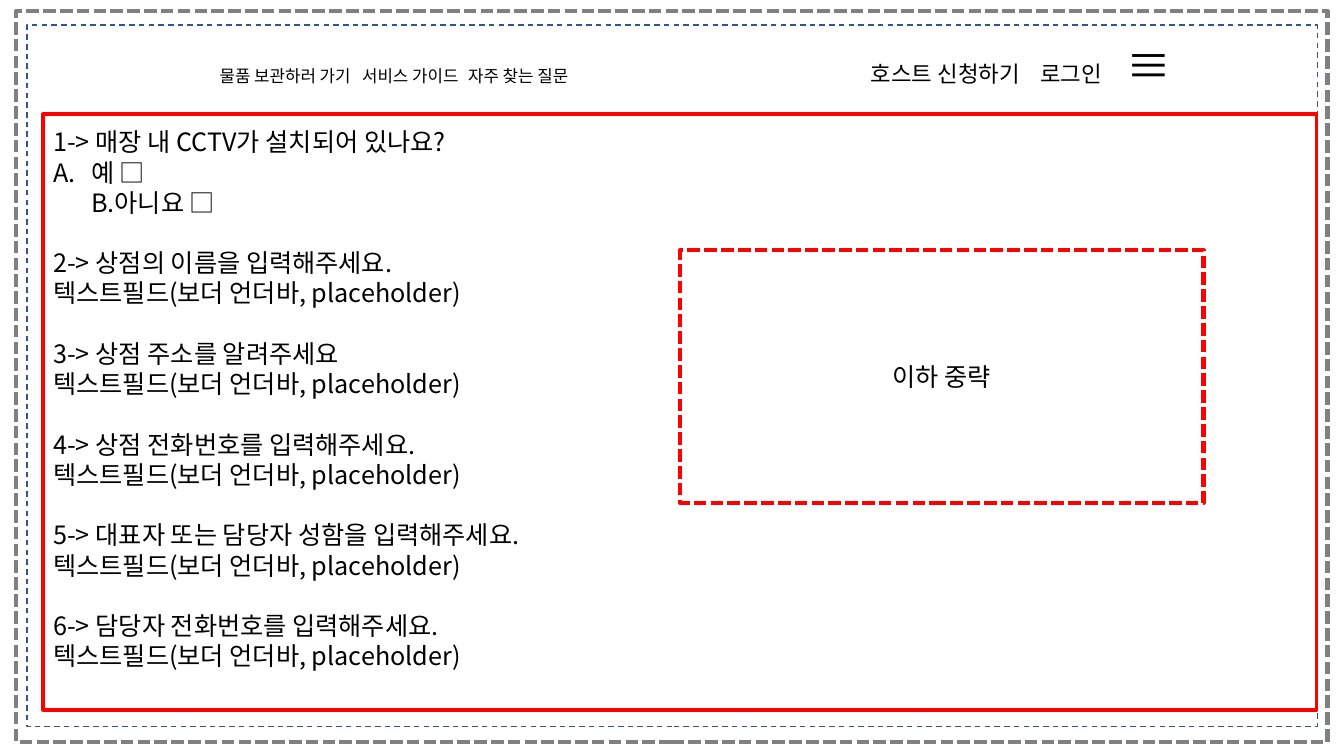
from pptx import Presentation
from pptx.dml.color import RGBColor
from pptx.enum.dml import MSO_LINE_DASH_STYLE as Dash
from pptx.enum.shapes import MSO_SHAPE as Preset
from pptx.enum.text import MSO_ANCHOR as Anchor, PP_ALIGN as Align
from pptx.oxml.ns import qn
from pptx.util import Pt
from lxml.etree import SubElement

FONT = "Noto Sans CJK KR"
BLACK, WHITE, RED, GRAY, BLUE = "000000", "FFFFFF", "FF0000", "808080", "325491"
LINE = 21.6  # line pitch of the 18 pt form text
FIELD = "텍스트필드(보더 언더바, placeholder)"
QUESTIONS = [
    "2-> 상점의 이름을 입력해주세요.",
    "3-> 상점 주소를 알려주세요",
    "4-> 상점 전화번호를 입력해주세요.",
    "5-> 대표자 또는 담당자 성함을 입력해주세요.",
    "6-> 담당자 전화번호를 입력해주세요.",
]
# Menu label, size, tab position
MENU = [
    ("물품 보관하러 가기", 12, 0),
    ("서비스 가이드", 12, 101.8),
    ("자주 찾는 질문", 12, 177.5),
    ("호스트 신청하기", 16, 465.2),
    ("로그인", 16, 586),
    ("≡", 32, 648),
]


def color(value):
    """Turn a hex string into a colour."""
    return RGBColor.from_string(value)


def write(paragraph, text, size=18, ink=BLACK, align=Align.LEFT, pitch=LINE, before=0):
    """Append text to a paragraph and format it; a vertical tab breaks the line."""
    paragraph.alignment = align
    paragraph.line_spacing = Pt(pitch)
    paragraph.space_before = Pt(before)
    for index, part in enumerate(text.split("\v")):
        if index:
            paragraph.add_line_break()
        run = paragraph.add_run()
        run.text = part
        run.font.name, run.font.size = FONT, Pt(size)
        run.font.color.rgb = color(ink)
        SubElement(run.font._element, qn("a:ea"), typeface=FONT)


def letter(paragraph, indent=27):
    """Number a paragraph with hanging capital letters."""
    props = paragraph._p.get_or_add_pPr()
    props.set("marL", str(Pt(indent)))
    props.set("indent", str(-Pt(indent)))
    SubElement(props, qn("a:buFont"), typeface=FONT)
    SubElement(props, qn("a:buAutoNum"), type="alphaUcPeriod")


def set_tabs(paragraph, positions):
    """Give a paragraph left tab stops."""
    stops = SubElement(paragraph._p.get_or_add_pPr(), qn("a:tabLst"))
    for position in positions:
        SubElement(stops, qn("a:tab"), pos=str(Pt(position)), algn="l")


class Wireframe:
    """Holds the slide and draws frames and text areas on it."""

    def __init__(self, slide):
        """Keep the slide to draw on."""
        self.shapes = slide.shapes

    def frame(self, left, top, width, height, ink, weight, dash=None, fill=None):
        """Draw an outlined rectangle and return its text frame."""
        box = self.shapes.add_shape(
            Preset.RECTANGLE, Pt(left), Pt(top), Pt(width), Pt(height))
        box.shadow.inherit = False
        box.line.color.rgb, box.line.width = color(ink), Pt(weight)
        if dash:
            box.line.dash_style = dash
        if fill:
            box.fill.solid()
            box.fill.fore_color.rgb = color(fill)
        else:
            box.fill.background()
        box.text_frame.word_wrap = True
        return box.text_frame

    def label(self, left, top, width, height, inset):
        """Add a text box with a top inset and return its text frame."""
        area = self.shapes.add_textbox(
            Pt(left), Pt(top), Pt(width), Pt(height)).text_frame
        area.word_wrap = True
        area.margin_top = Pt(inset)
        return area


deck = Presentation()
deck.slide_width, deck.slide_height = Pt(960), Pt(540)
page = Wireframe(deck.slides.add_slide(deck.slide_layouts[6]))

page.frame(11.5, 7.9, 936.7, 522, GRAY, 3, Dash.SQUARE_DOT)
page.frame(19.4, 18, 921.6, 501.1, BLUE, 1, Dash.DASH)

menu = page.label(149.8, 21.6, 791.2, 46.1, inset=5.6).paragraphs[0]
for index, (name, size, _) in enumerate(MENU):
    write(menu, "\t" * bool(index) + name, size=size, pitch=38.4)
set_tabs(menu, [position for _, _, position in MENU[1:]])

form = page.frame(31, 81.4, 909.4, 425.5, RED, 2.75, fill=WHITE)
form.vertical_anchor = Anchor.TOP
form.margin_top = Pt(9)
write(form.paragraphs[0], "1-> 매장 내 CCTV가 설치되어 있나요?")
answers = form.add_paragraph()
write(answers, "예 □\vB.아니요 □")
letter(answers)
for question in QUESTIONS:
    write(form.add_paragraph(), question, before=LINE)
    write(form.add_paragraph(), FIELD)

omitted = page.frame(486, 178.6, 373.7, 180.7, RED, 3, Dash.SQUARE_DOT, WHITE)
omitted.vertical_anchor = Anchor.MIDDLE
write(omitted.paragraphs[0], "이하 중략", align=Align.CENTER)

deck.save("out.pptx")
